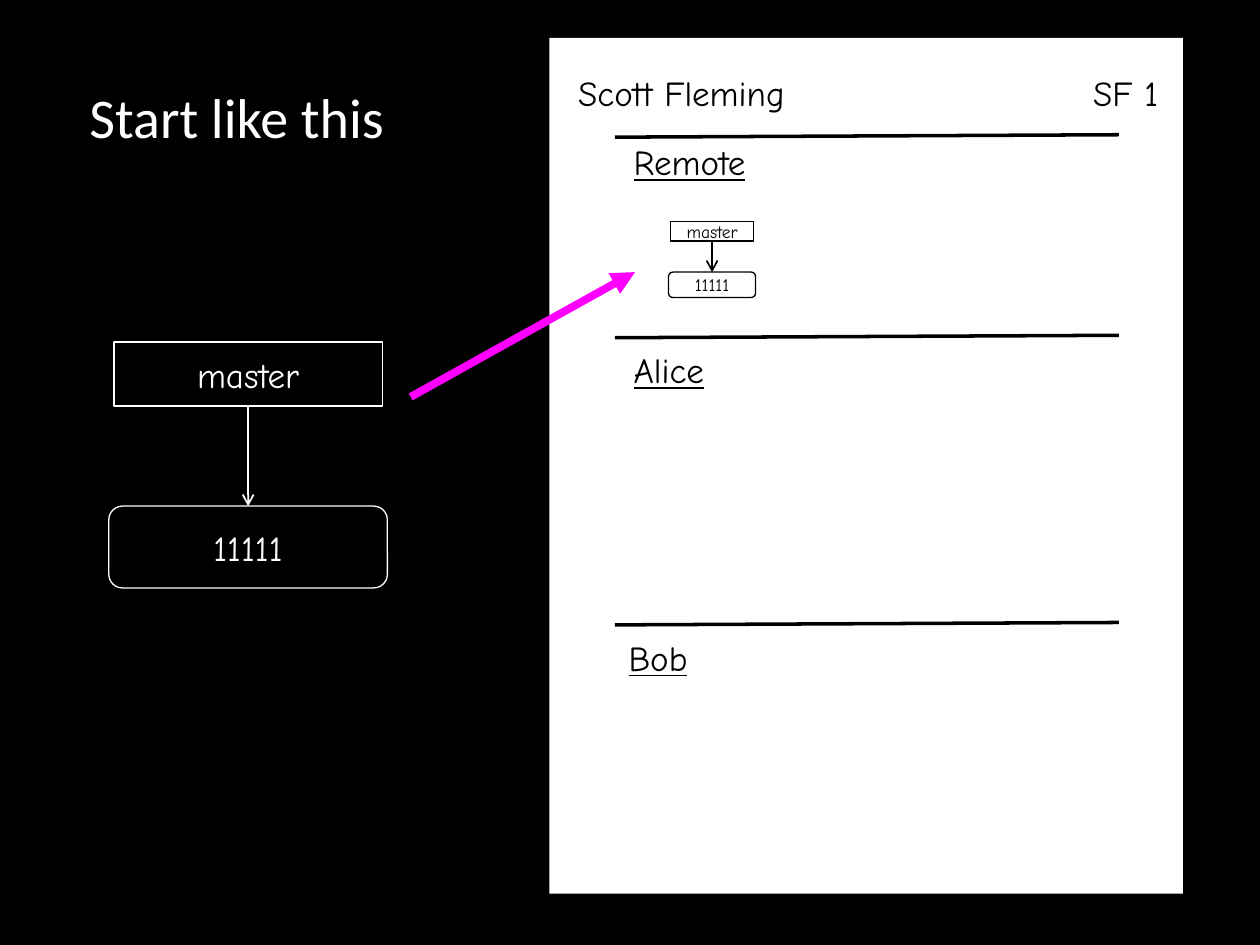
from lxml import etree
from pptx import Presentation
from pptx.dml.color import RGBColor
from pptx.enum.shapes import MSO_CONNECTOR, MSO_SHAPE
from pptx.enum.text import MSO_ANCHOR, PP_ALIGN
from pptx.oxml.ns import qn
from pptx.util import Pt

RECT, ROUNDED = MSO_SHAPE.RECTANGLE, MSO_SHAPE.ROUNDED_RECTANGLE
STRAIGHT = MSO_CONNECTOR.STRAIGHT
LEFT, CENTER, RIGHT = PP_ALIGN.LEFT, PP_ALIGN.CENTER, PP_ALIGN.RIGHT
TOP, MIDDLE = MSO_ANCHOR.TOP, MSO_ANCHOR.MIDDLE
COLORS = {"black": "000000", "white": "FFFFFF", "pink": "FF00FF"}
COLORS = {name: RGBColor.from_string(value) for name, value in COLORS.items()}


def write(box, text, size, color, align=LEFT, anchor=TOP, wrap=False,
          font="Comic Neue", underline=None):
    frame = box.text_frame
    frame.word_wrap = wrap
    frame.vertical_anchor = anchor
    para = frame.paragraphs[0]
    para.alignment = align
    span = para.add_run()
    span.text = text
    formats = {"name": font, "size": Pt(size), "underline": underline}
    for name, value in formats.items():
        setattr(span.font, name, value)
    span.font.color.rgb = COLORS[color]


def draw_line(start, end, color, width, head=None):
    line = page.shapes.add_connector(STRAIGHT, *map(Pt, start + end))
    line.line.color.rgb = COLORS[color]
    line.line.width = Pt(width)
    if head:
        etree.SubElement(line.line._get_or_add_ln(), qn("a:tailEnd"), type=head)
    etree.SubElement(line._element.spPr, qn("a:effectLst"))


deck = Presentation()
deck.slide_width, deck.slide_height = Pt(720), Pt(540)
page = deck.slides.add_slide(deck.slide_layouts[6])
page.background.fill.solid()
page.background.fill.fore_color.rgb = COLORS["black"]

# Title
title = page.shapes.add_textbox(Pt(36), Pt(21.6), Pt(198.7), Pt(90))
for side in ("left", "right", "top", "bottom"):
    setattr(title.text_frame, f"margin_{side}", 0)
write(title, "Start like this", 32, "white", CENTER, MIDDLE, True, "Calibri")

# Sheet of paper
sheet = page.shapes.add_shape(RECT, Pt(314), Pt(21.6), Pt(362), Pt(489))
sheet.shadow.inherit = False
sheet.fill.solid()
sheet.fill.fore_color.rgb = COLORS["white"]
sheet.line.fill.background()

# Sheet header and section headings
labels = [
    ("Scott Fleming", 323.3, 37.4, 136, LEFT, None),
    ("SF 1", 612.9, 37.4, 56, RIGHT, None),
    ("Remote", 355, 77, 86, LEFT, True),
    ("Alice", 355, 195.8, 58, LEFT, True),
    ("Bob", 352.1, 360, 52, LEFT, True),
]
for text, left, top, width, align, underline in labels:
    label = page.shapes.add_textbox(Pt(left), Pt(top), Pt(width), Pt(31.7))
    # Wrapping keeps the text at the box edge; each box is wide enough for one line
    write(label, text, 20, "black", align, wrap=True, underline=underline)

# Slightly slanted section rules
for top in (77, 191.6, 355.7):
    draw_line((351.4, top + 1.4), (639.4, top), "black", 2)

# Branch diagrams: small on the sheet, large beside it
# (center x, color, text size, branch top/width/height, commit top/width/height)
diagrams = [
    (406.9, "black", 10, (126.5, 47.7, 11.3), (155.5, 49.7, 14.5)),
    (141.8, "white", 20, (195.5, 153.4, 36.5), (289.2, 159.2, 46.8)),
]
for center, color, size, branch, commit in diagrams:
    for kind, text, (top, width, height) in (
            (ROUNDED, "11111", commit), (RECT, "master", branch)):
        node = page.shapes.add_shape(
            kind, Pt(center - width / 2), Pt(top), Pt(width), Pt(height))
        node.shadow.inherit = False
        node.fill.background()
        node.line.color.rgb = COLORS[color]
        node.line.width = Pt(0.75)
        write(node, text, size, color, CENTER, MIDDLE, True)
    draw_line((center, branch[0] + branch[2]), (center, commit[0]),
              color, 1, "arrow")

# Pointer to the sheet
draw_line((234.7, 226.8), (362.9, 155.5), "pink", 4.5, "triangle")

deck.save("out.pptx")
